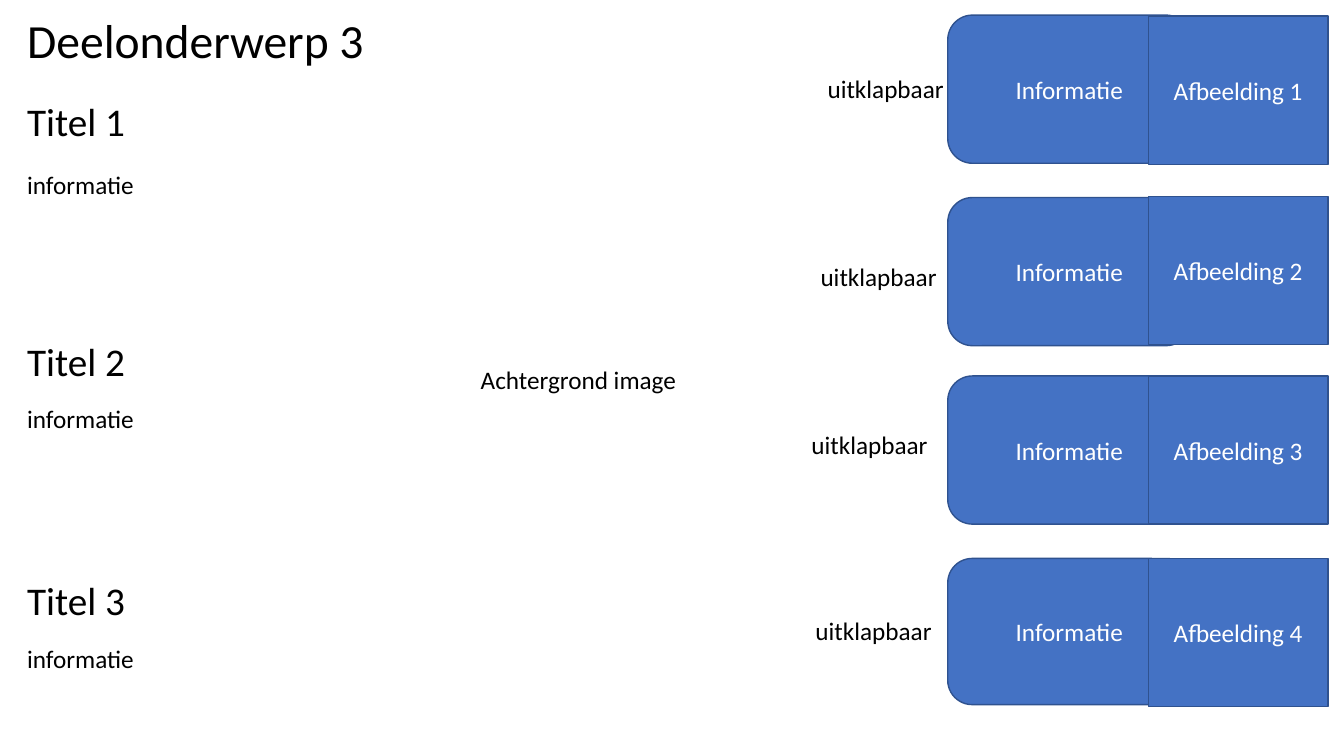
from pptx import Presentation
from pptx.dml.color import RGBColor
from pptx.enum import shapes, text
from pptx.util import Inches, Pt

BLACK, WHITE, BLUE, NAVY = "000000", "FFFFFF", "4472C4", "2F528F"


def paint(color_format, color):
    color_format.rgb = RGBColor.from_string(color)


def write(box, words, size=18, color=BLACK, align=text.PP_ALIGN.LEFT,
          anchor=text.MSO_ANCHOR.TOP, wrap=True):
    frame = box.text_frame
    frame.text = words
    frame.word_wrap = wrap
    frame.vertical_anchor = anchor
    para = frame.paragraphs[0]
    para.alignment = align
    font = para.runs[0].font
    font.name, font.size = "Calibri", Pt(size)
    paint(font.color, color)
    return para


deck = Presentation()
deck.slide_width, deck.slide_height = Inches(13.33), Inches(7.5)
page = deck.slides.add_slide(deck.slide_layouts[5])

# Slide title
title = page.shapes.title
title.left, title.top = Inches(0.17), Inches(0.15)
title.width, title.height = Inches(4.1), Inches(0.59)
title_para = write(title, "Deelonderwerp 3", 34, anchor=text.MSO_ANCHOR.MIDDLE)
title_para.line_spacing = 0.8

# Information cards, then the image panels that overlap them
rounded, square = shapes.MSO_SHAPE.ROUNDED_RECTANGLE, shapes.MSO_SHAPE.RECTANGLE
panels = [(rounded, "Informatie", 9.4, top, 2.41, height)
          for top, height in [(0.15, 1.47), (1.96, 1.47), (3.73, 1.47), (5.54, 1.45)]]
panels += [(square, f"Afbeelding {number}", 11.39, top, 1.78, 1.47)
           for number, top in enumerate([0.16, 1.95, 3.73, 5.54], 1)]
for kind, words, left, top, width, height in panels:
    panel = page.shapes.add_shape(kind, Inches(left), Inches(top), Inches(width), Inches(height))
    panel.shadow.inherit = False
    panel.fill.solid()
    paint(panel.fill.fore_color, BLUE)
    paint(panel.line.color, NAVY)
    panel.line.width = Pt(1)
    write(panel, words, color=WHITE, align=text.PP_ALIGN.CENTER, anchor=text.MSO_ANCHOR.MIDDLE)

# Headings with their information line
for number, (heading_top, info_top) in enumerate([(0.97, 1.63), (3.35, 3.95), (5.72, 6.33)], 1):
    heading = page.shapes.add_textbox(Inches(0.17), Inches(heading_top), Inches(3.29), Inches(0.81))
    heading.fill.solid()
    paint(heading.fill.fore_color, WHITE)
    heading_para = write(heading, f"Titel {number}", 28)
    heading_para.line_spacing = 0.9
    heading_para.space_before = Pt(10)
    info = page.shapes.add_textbox(Inches(0.17), Inches(info_top), Inches(2.41), Inches(0.4))
    write(info, "informatie")

# Labels beside the cards and in the middle of the page
labels = [("uitklapbaar", left, top, 1.37)
          for left, top in [(8.11, 0.68), (8.04, 2.54), (7.95, 4.21), (7.99, 6.06)]]
labels.append(("Achtergrond image", 4.67, 3.57, 2.16))
for words, left, top, width in labels:
    label = page.shapes.add_textbox(Inches(left), Inches(top), Inches(width), Inches(0.4))
    write(label, words, wrap=False)

deck.save("out.pptx")
